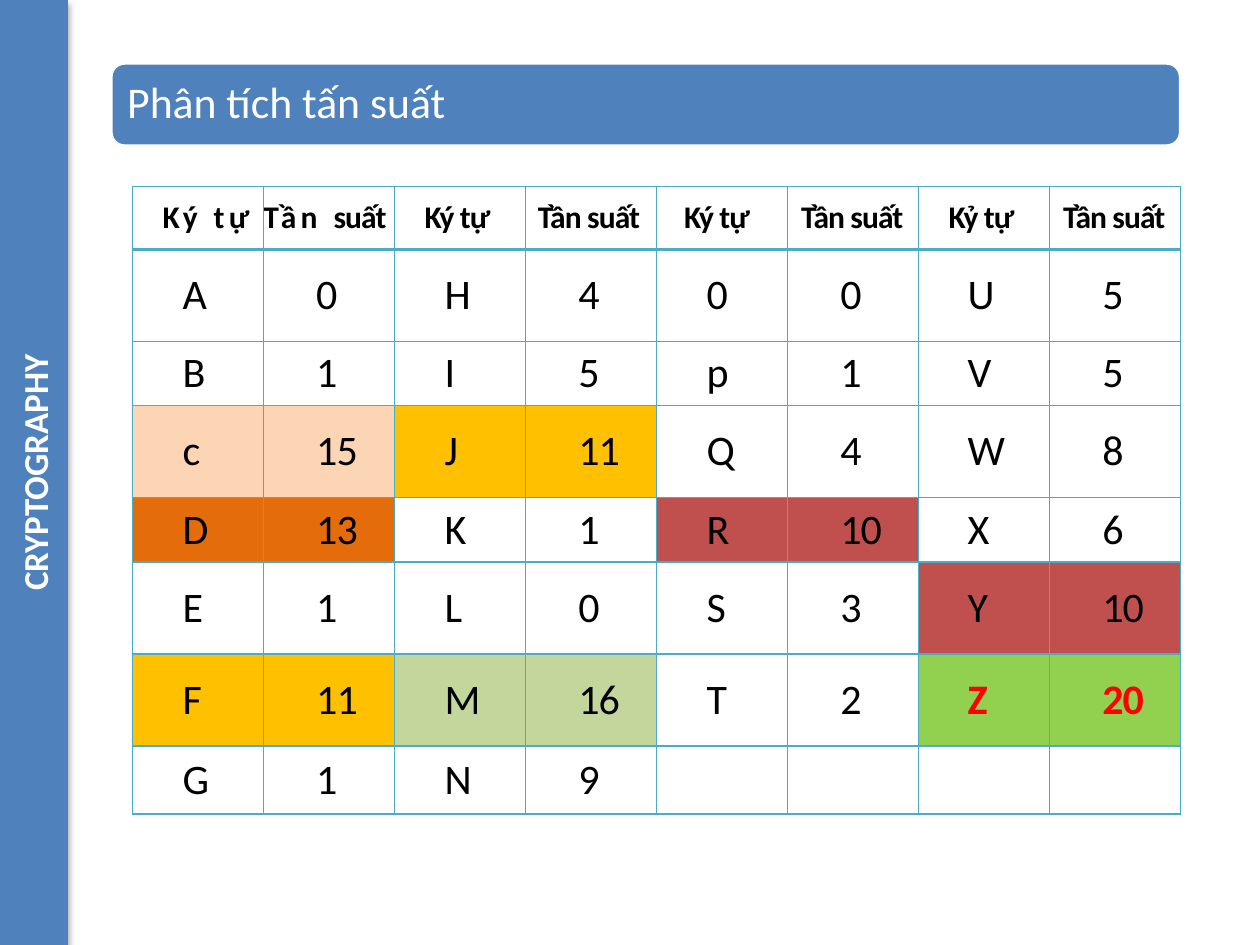
import pptx
import pptx.dml.color
import pptx.enum.shapes
import pptx.enum.text
import pptx.oxml
import pptx.oxml.ns
import pptx.util
from pptx.util import Inches

COLORS = {
    "blue": "4F81BD", "white": "FFFFFF", "black": "000000", "grid": "4BACC6",
    "peach": "FCD5B5", "orange": "E46C0A", "amber": "FFC000", "brick": "C0504D",
    "sage": "C3D69B", "green": "92D050", "red": "FF0000",
}
DRAWING_NS = pptx.oxml.ns.nsdecls("a")


def rgb(name):
    return pptx.dml.color.RGBColor.from_string(COLORS[name])


def add_run(paragraph, text, size, color, bold=False, spacing=0):
    """Append a Calibri run; spacing is the letter spacing in points."""
    run = paragraph.add_run()
    run.text = text
    run.font.name = "Calibri"
    run.font.size = pptx.util.Pt(size)
    run.font.bold = bold
    run.font.color.rgb = rgb(color)
    if spacing:
        run.font._element.set("spc", str(int(spacing * 100)))


prs = pptx.Presentation()
prs.slide_width, prs.slide_height = Inches(10), Inches(7.5)
slide = prs.slides.add_slide(prs.slide_layouts[5])

# Title on a rounded bar
title_bar = slide.shapes.add_shape(
    pptx.enum.shapes.MSO_SHAPE.ROUNDED_RECTANGLE,
    Inches(0.88), Inches(0.5), Inches(8.49), Inches(0.66))
title_bar.shadow.inherit = False
title_bar.fill.solid()
title_bar.fill.fore_color.rgb = rgb("blue")
title_bar.line.color.rgb = rgb("white")
title_bar.line.width = pptx.util.Pt(2)

title = slide.shapes.title
title.left, title.top = Inches(0.91), Inches(0.53)
title.width, title.height = Inches(8.43), Inches(0.59)
# The placeholder comes first in the tree; bring it in front of its bar
title_bar._element.addnext(title._element)
title_frame = title.text_frame
title_frame.auto_size = pptx.enum.text.MSO_AUTO_SIZE.NONE
title_frame.vertical_anchor = pptx.enum.text.MSO_ANCHOR.MIDDLE
title_frame.margin_left = title_frame.margin_right = Inches(0.1)
title_frame.margin_top = title_frame.margin_bottom = Inches(0.1)
title_line = title_frame.paragraphs[0]
title_line.alignment = pptx.enum.text.PP_ALIGN.LEFT
title_line.line_spacing = 0.9
add_run(title_line, "Phân tích tấn suất", 25, "white")

# Letter frequencies: four pairs of letter and count columns
headers = [
    [("Ký tự", 2.5)], [("Tần ", 2.5), ("suất", -0.5)],
    [("Ký tự", -0.5)], [("Tần suất", -0.5)],
    [("Ký tự", -0.5)], [("Tần suất", -0.5)],
    [("Kỷ tự", -0.5)], [("Tần suất", -0.5)],
]
header_indents = [0.24, 0, 0.24, 0.1, 0.22, 0.11, 0.24, 0.11]
body_indents = [0.4, 0.42, 0.4, 0.42, 0.4, 0.42, 0.39, 0.42]
frequencies = [
    ["A", "0", "H", "4", "0", "0", "U", "5"],
    ["B", "1", "I", "5", "p", "1", "V", "5"],
    ["c", "15", "J", "11", "Q", "4", "W", "8"],
    ["D", "13", "K", "1", "R", "10", "X", "6"],
    ["E", "1", "L", "0", "S", "3", "Y", "10"],
    ["F", "11", "M", "16", "T", "2", "Z", "20"],
    ["G", "1", "N", "9", "", "", "", ""],
]
# Equal high counts share a colour
count_fills = {"10": "brick", "11": "amber", "13": "orange",
               "15": "peach", "16": "sage", "20": "green"}
row_heights = [0.5, 0.73, 0.51, 0.73, 0.51, 0.73, 0.73, 0.54]

table = slide.shapes.add_table(
    len(row_heights), len(headers), Inches(1.05), Inches(1.48),
    Inches(8.32), Inches(sum(row_heights))).table
table.horz_banding = False
for row, height in zip(table.rows, row_heights):
    row.height = Inches(height)
for column in table.columns:
    column.width = Inches(1.04)

for r in range(len(row_heights)):
    for c in range(len(headers)):
        cell = table.cell(r, c)
        cell.vertical_anchor = pptx.enum.text.MSO_ANCHOR.MIDDLE
        cell.margin_left = cell.margin_right = 0
        cell.margin_top = cell.margin_bottom = 0
        cell_properties = cell._tc.get_or_add_tcPr()
        for side in ("L", "R", "T", "B"):
            under_header = (r, side) in ((0, "B"), (1, "T"))
            width = pptx.util.Pt(2 if under_header else 1)
            cell_properties.append(pptx.oxml.parse_xml(
                f'<a:ln{side} {DRAWING_NS} w="{width}"><a:solidFill>'
                f'<a:srgbClr val="{COLORS["grid"]}"/></a:solidFill></a:ln{side}>'))

        paragraph = cell.text_frame.paragraphs[0]
        indent = body_indents[c] if r else header_indents[c]
        paragraph._p.get_or_add_pPr().set("marL", str(Inches(indent)))
        if r == 0:
            cell.fill.background()
            for text, spacing in headers[c]:
                add_run(paragraph, text, 18, "black", True, spacing)
            continue

        values = frequencies[r - 1]
        count = values[c // 2 * 2 + 1]
        if count in count_fills:
            cell.fill.solid()
            cell.fill.fore_color.rgb = rgb(count_fills[count])
        else:
            cell.fill.background()
        if values[c]:
            top_count = count == "20"
            add_run(paragraph, values[c], 24, "red" if top_count else "black",
                    top_count, -0.5)

# Sidebar with the course name
sidebar = slide.shapes.add_shape(
    pptx.enum.shapes.MSO_SHAPE.RECTANGLE, 0, 0, Inches(0.54), Inches(7.5))
sidebar.fill.solid()
sidebar.fill.fore_color.rgb = rgb("blue")
sidebar.line.fill.background()
sidebar._element.spPr.append(pptx.oxml.parse_xml(
    f'<a:effectLst {DRAWING_NS}><a:outerShdw blurRad="{pptx.util.Pt(3.5)}" '
    f'dist="{pptx.util.Pt(2.2)}" dir="5400000" rotWithShape="0">'
    f'<a:srgbClr val="{COLORS["black"]}"><a:alpha val="32000"/></a:srgbClr>'
    '</a:outerShdw></a:effectLst>'))
sidebar_frame = sidebar.text_frame
sidebar_frame.word_wrap = True
sidebar_frame.vertical_anchor = pptx.enum.text.MSO_ANCHOR.MIDDLE
sidebar_frame._txBody.bodyPr.set("vert", "vert270")
course_name = sidebar_frame.paragraphs[0]
course_name.alignment = pptx.enum.text.PP_ALIGN.CENTER
add_run(course_name, "CRYPTOGRAPHY", 20, "white", True)

prs.save("out.pptx")
